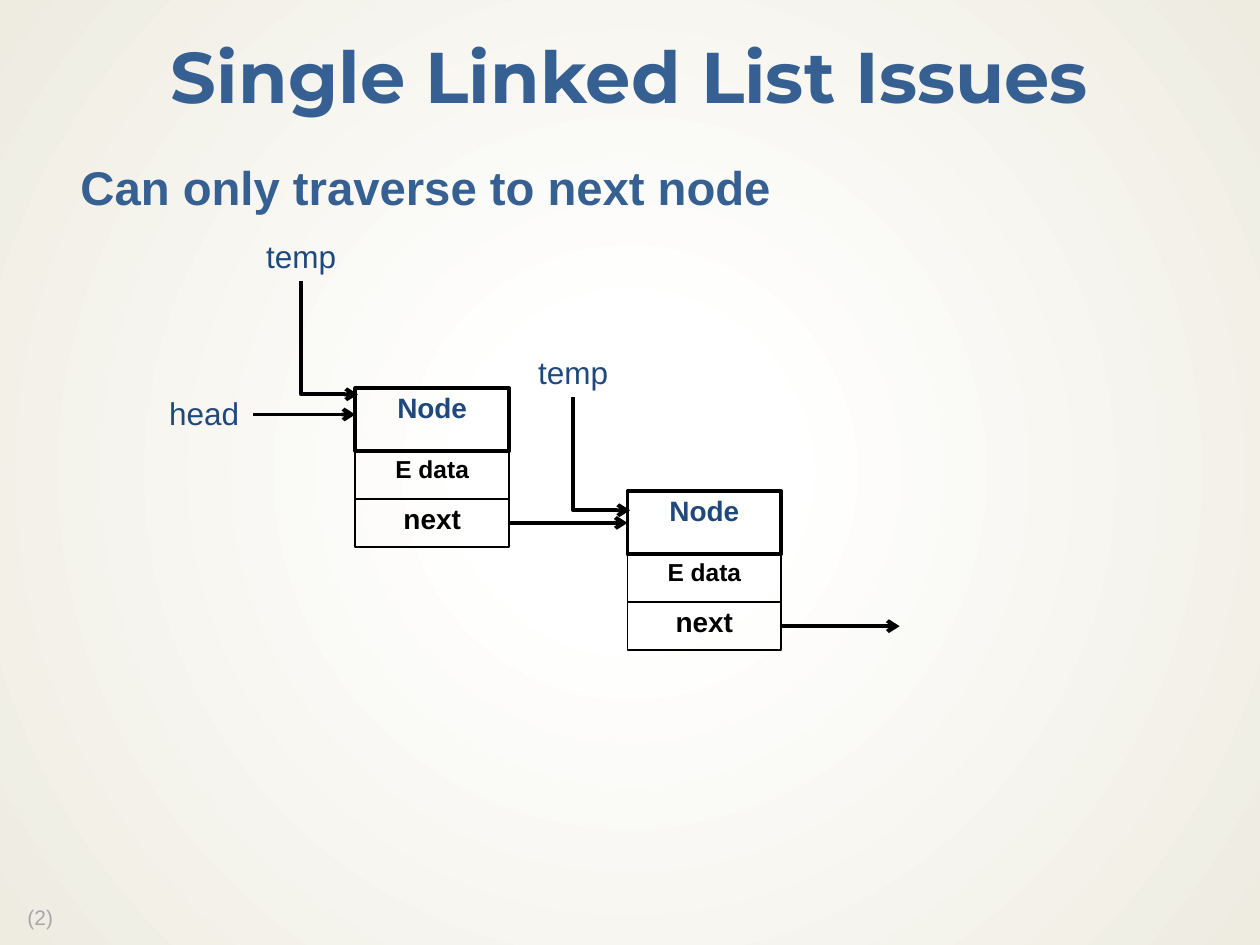
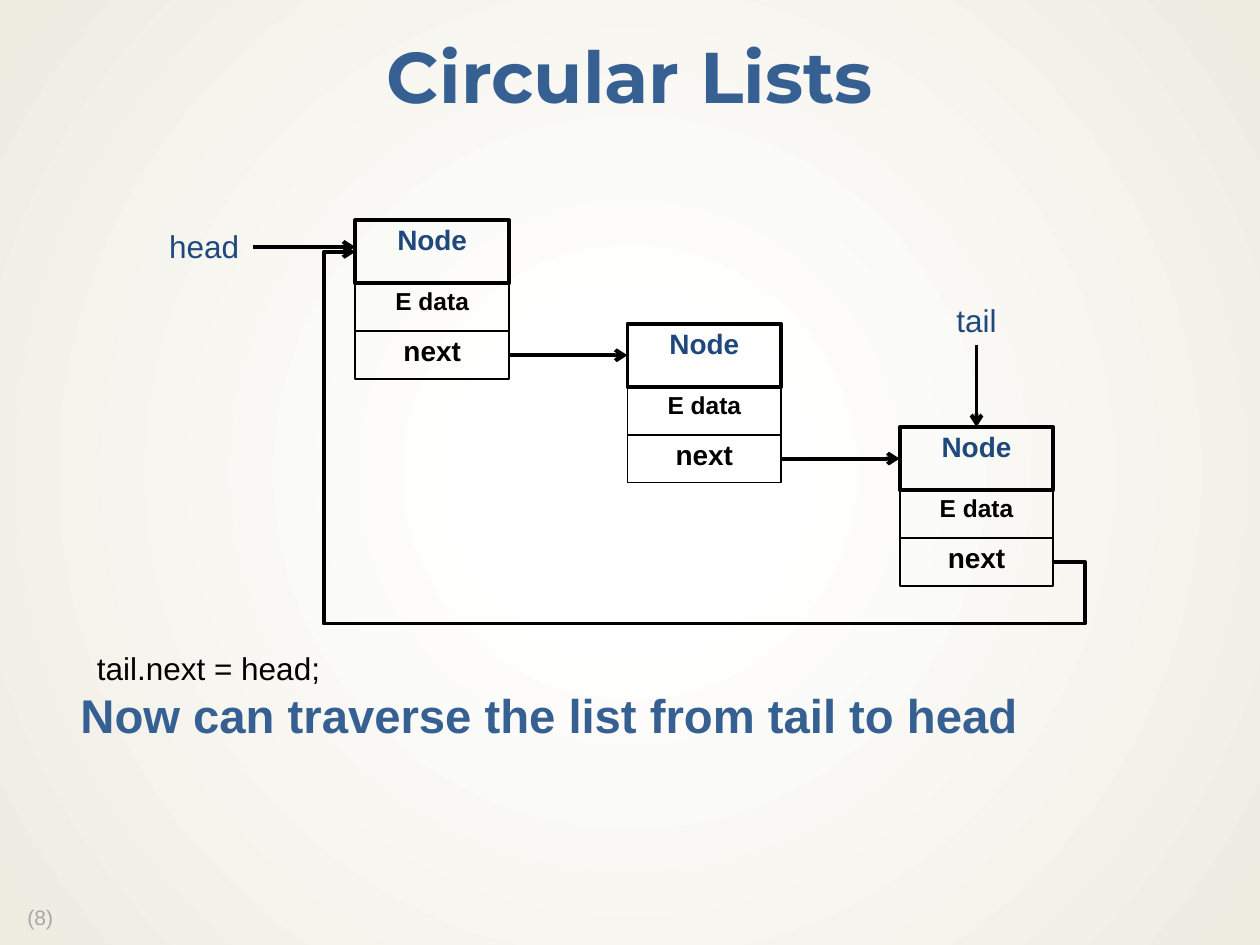
from collections import namedtuple

from pptx import Presentation
from pptx.dml.color import RGBColor
from pptx.enum.shapes import MSO_CONNECTOR as Link, MSO_SHAPE as Preset
from pptx.enum.text import MSO_ANCHOR as Anchor, PP_ALIGN as Align
from pptx.oxml import parse_xml
from pptx.oxml.ns import nsdecls, qn
from pptx.oxml.xmlchemy import OxmlElement
from pptx.util import Inches, Pt

HEADING, LABEL, INK, FOOTER = "376092", "1F497D", "000000", "A6A6A6"
PAPER, EDGE = "FFFFFF", "EEECE1"

# Node measures, in inches
NODE_WIDTH, HEADER_HEIGHT, ROW_HEIGHT = 1.22, 0.5, 0.38
STEP_X, STEP_Y = 2.16, 0.82
FIRST_LEFT = 2.82
NEXT_MIDDLE = HEADER_HEIGHT + 1.5 * ROW_HEIGHT
LABEL_HEIGHT = 0.4

Node = namedtuple("Node", "left top header next_cell")


def color(value):
    return RGBColor.from_string(value)


def write(shape, text, size, ink, bold=False, font="Arial", align=Align.CENTER,
          spacing=0.9, anchor=Anchor.TOP, wrap=True):
    frame = shape.text_frame
    frame.word_wrap = wrap
    frame.vertical_anchor = anchor
    paragraph = frame.paragraphs[0]
    paragraph.alignment = align
    paragraph.line_spacing = spacing
    run = paragraph.add_run()
    run.text = text
    run.font.name, run.font.size, run.font.bold = font, Pt(size), bold
    run.font.color.rgb = color(ink)


def add_text(slide, left, top, width, height, text, size, ink, **style):
    box = slide.shapes.add_textbox(*map(Inches, (left, top, width, height)))
    write(box, text, size, ink, **style)


def add_label(slide, left, top, width, text, ink=LABEL):
    add_text(slide, left, top, width, LABEL_HEIGHT, text, 18, ink,
             spacing=1.0, wrap=False)


# Arrows
def add_arrow(slide, start, end, kind=Link.STRAIGHT):
    arrow = slide.shapes.add_connector(kind, *map(Inches, (*start, *end)))
    arrow.line.color.rgb = color(INK)
    arrow.line.width = Pt(2.25)
    tip = OxmlElement("a:tailEnd")
    tip.set("type", "arrow")
    properties = arrow._element.spPr
    properties.find(qn("a:ln")).append(tip)
    properties.append(OxmlElement("a:effectLst"))
    return arrow


def bend(arrow, preset, adjustments=()):
    geometry = arrow._element.spPr.find(qn("a:prstGeom"))
    geometry.set("prst", preset)
    for child in list(geometry):
        geometry.remove(child)
    guides = OxmlElement("a:avLst")
    for number, value in enumerate(adjustments, 1):
        guide = OxmlElement("a:gd")
        guide.set("name", f"adj{number}")
        guide.set("fmla", f"val {round(value * 100000)}")
        guides.append(guide)
    geometry.append(guides)


def add_down_right_arrow(slide, start, end):
    """Goes down from start, then right to end: a mirrored, turned corner."""
    run, drop = end[0] - start[0], end[1] - start[1]
    middle_x, middle_y = start[0] + run / 2, start[1] + drop / 2
    arrow = add_arrow(slide, (middle_x + drop / 2, middle_y - run / 2),
                      (middle_x - drop / 2, middle_y + run / 2), Link.ELBOW)
    bend(arrow, "bentConnector2")
    arrow._element.spPr.find(qn("a:xfrm")).set("rot", str(270 * 60000))


# Nodes and their pointers
def add_node(slide, left, top):
    rows = [("Node", HEADER_HEIGHT, 16, LABEL, 2.25),
            ("E data", ROW_HEIGHT, 14, INK, 1),
            ("next", ROW_HEIGHT, 16, INK, 1)]
    cells, row_top = [], top
    for text, height, size, ink, line_width in rows:
        cell = slide.shapes.add_shape(
            Preset.RECTANGLE, *map(Inches, (left, row_top, NODE_WIDTH, height)))
        cell.shadow.inherit = False
        cell.fill.background()
        cell.line.color.rgb = color(INK)
        cell.line.width = Pt(line_width)
        write(cell, text, size, ink, bold=True)
        cells.append(cell)
        row_top += height
    return Node(left, top, cells[0], cells[2])


def add_next_arrow(slide, node, target=None):
    right, middle = node.left + NODE_WIDTH, node.top + NEXT_MIDDLE
    arrow = add_arrow(slide, (right, middle), (node.left + STEP_X, middle))
    arrow.begin_connect(node.next_cell, 3)
    if target:
        arrow.end_connect(target.header, 1)


def add_chain(slide, top, count):
    nodes = [add_node(slide, FIRST_LEFT + i * STEP_X, top + i * STEP_Y)
             for i in range(count)]
    for node, target in zip(nodes, nodes[1:]):
        add_next_arrow(slide, node, target)
    return nodes


def add_head(slide, node):
    add_label(slide, node.left - 1.58, node.top, 0.76, "head")
    level = node.top + 0.21
    add_arrow(slide, (node.left - 0.81, level), (node.left, level))


def add_temp(slide, node, entry):
    """Points temp at the node, entry inches below its top."""
    width, drop = 0.76, 0.9
    start = (node.left - 0.43, node.top + entry - drop)
    add_label(slide, start[0] - width / 2, start[1] - LABEL_HEIGHT, width, "temp")
    add_down_right_arrow(slide, start, (node.left + 0.02, node.top + entry))


def add_tail(slide, node):
    width, length = 0.52, 0.65
    middle = node.left + NODE_WIDTH / 2
    label_bottom = node.top - length
    add_label(slide, middle - width / 2, label_bottom - LABEL_HEIGHT, width, "tail")
    arrow = add_arrow(slide, (middle, label_bottom), (middle, node.top))
    arrow.end_connect(node.header, 0)


def add_return_arrow(slide, last, first):
    """Leads from the last node round below the chain to the first."""
    start = (last.left + NODE_WIDTH, last.top + NEXT_MIDDLE)
    end = (first.left, first.top + HEADER_HEIGHT / 2)
    side = 0.25 / (start[0] - end[0])
    below = 0.49 / (start[1] - end[1])
    arrow = add_arrow(slide, start, end, Link.ELBOW)
    bend(arrow, "bentConnector5", (-side, -below, 1 + side))


# Shared look
def set_background(master):
    fill = master.background.fill
    fill.gradient()
    for stop, position, value in zip(fill.gradient_stops, (0.18, 1), (PAPER, EDGE)):
        stop.position = position
        stop.color.rgb = color(value)
    gradient = master.element.find(".//" + qn("a:gradFill"))
    gradient.replace(gradient.find(qn("a:lin")), parse_xml(
        f'<a:path {nsdecls("a")} path="circle">'
        '<a:fillToRect l="50000" t="50000" r="50000" b="50000"/></a:path>'))


def add_base(presentation, title, number):
    slide = presentation.slides.add_slide(presentation.slide_layouts[6])
    add_text(slide, 0, 0.17, 10, 0.94, title, 41, HEADING, bold=True,
             font="Montserrat", anchor=Anchor.MIDDLE)
    add_text(slide, 0.12, 7.15, 0.56, 0.28, f"({number})", 12, FOOTER,
             align=Align.LEFT)
    return slide


def add_statement(slide, top, text):
    add_text(slide, 0.54, top, 9.09, 0.55, text, 27, HEADING, bold=True,
             align=Align.LEFT)


# Slides
def build_issues(presentation):
    slide = add_base(presentation, "Single Linked List Issues", 2)
    add_statement(slide, 1.26, "Can only traverse to next node")
    first, second = add_chain(slide, 3.08, 2)
    add_next_arrow(slide, second)
    add_head(slide, first)
    add_temp(slide, first, 0.05)
    add_temp(slide, second, 0.15)


def build_circular(presentation):
    slide = add_base(presentation, "Circular Lists", 8)
    nodes = add_chain(slide, 1.75, 3)
    add_head(slide, nodes[0])
    add_tail(slide, nodes[-1])
    add_return_arrow(slide, nodes[-1], nodes[0])
    add_label(slide, 0.67, 5.1, 1.97, "tail.next = head;", INK)
    add_statement(slide, 5.45, "Now can traverse the list from tail to head")


def main():
    presentation = Presentation()
    presentation.slide_width = Inches(10)
    presentation.slide_height = Inches(7.5)
    set_background(presentation.slide_master)
    build_issues(presentation)
    build_circular(presentation)
    presentation.save("out.pptx")


if __name__ == "__main__":
    main()
